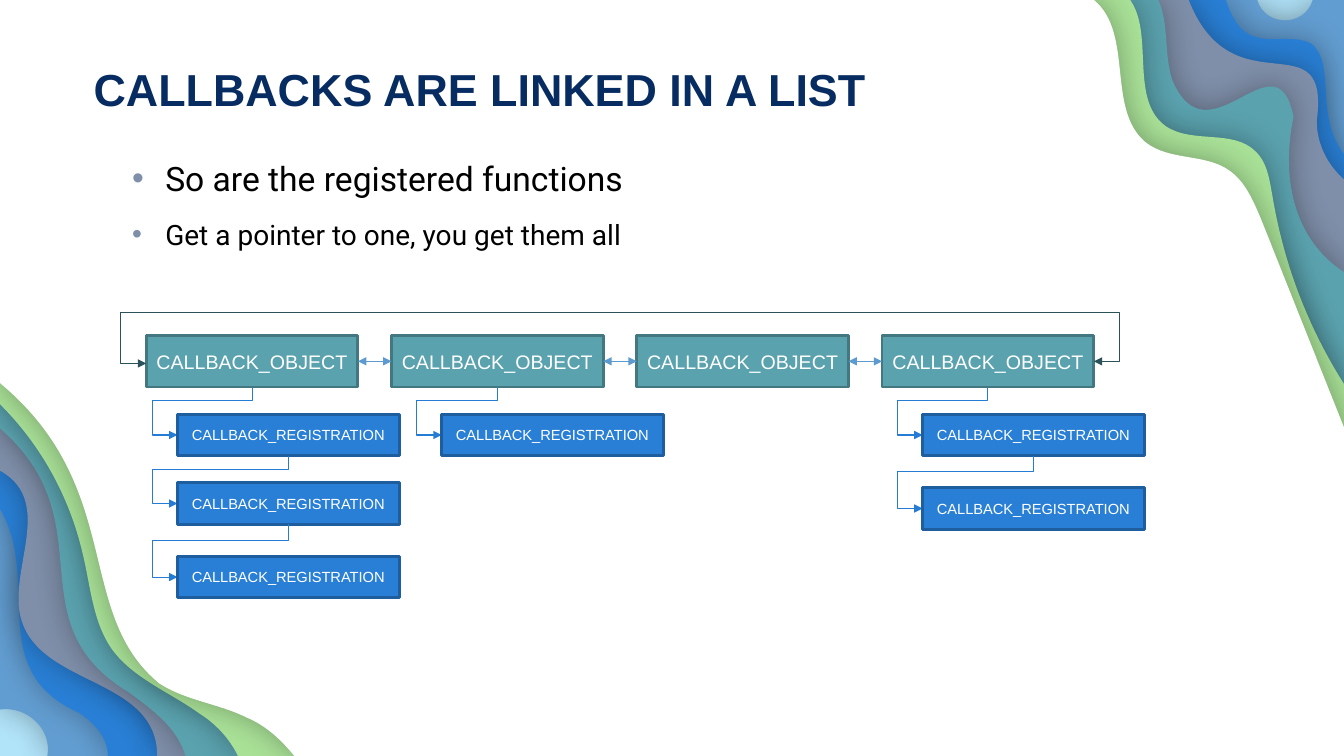
from lxml.etree import SubElement
from pptx import Presentation
from pptx.dml.color import RGBColor
from pptx.enum.shapes import MSO_CONNECTOR, MSO_SHAPE
from pptx.enum.text import MSO_ANCHOR, PP_ALIGN
from pptx.oxml.ns import qn
from pptx.util import Inches, Pt

WIDTH, HEIGHT = 13.33, 7.5
SKY = RGBColor(0xB1, 0xE3, 0xF9)
NAVY = RGBColor(0x07, 0x2C, 0x62)
BLACK = RGBColor(0, 0, 0)
WHITE = RGBColor(0xFF, 0xFF, 0xFF)
TEAL = RGBColor(0x5A, 0xA2, 0xAE)
TEAL_EDGE = RGBColor(0x43, 0x78, 0x81)
TEAL_DARK = RGBColor(0x2B, 0x52, 0x59)
BLUE = RGBColor(0x29, 0x7F, 0xD5)
BLUE_EDGE = RGBColor(0x1E, 0x5E, 0x9E)
BLUE_LINK = RGBColor(0x24, 0x7C, 0xD5)
LIGHT_BLUE = RGBColor(0x62, 0x9D, 0xD1)
PEER_BLUE = RGBColor(0x5D, 0x9A, 0xCF)
SLATE = RGBColor(0x7F, 0x8F, 0xA9)
GREEN = RGBColor(0xA9, 0xE1, 0x97)

TITLE = "CALLBACKS ARE LINKED IN A LIST"
BULLETS = [("So are the registered functions", 24),
           ("Get a pointer to one, you get them all", 20)]
OBJECT_LABEL, REGISTRATION_LABEL = "CALLBACK_OBJECT", "CALLBACK_REGISTRATION"
OBJECT_COUNT = 4
# object index: (left of its registrations, their tops)
REGISTRATIONS = {0: (1.76, [4.11, 4.79, 5.52]), 1: (4.38, [4.11]), 3: (9.15, [4.11, 4.84])}

# Each layer: colour, edge in the top right corner, edge in the bottom left corner.
# Two numbers are a corner point, six are a Bézier curve.
WAVES = [
    (LIGHT_BLUE,
     [(13.33, 0), (13.02, 0), (12.94, 0.27, 12.55, 0.27, 12.47, 0)],
     [(0, 7.04), (0.26, 7, 0.52, 7.23, 0.47, 7.5)]),
    (BLUE,
     [(13.33, 1.53), (13.03, 1.14, 13.26, 0.62, 13, 0.43),
      (12.71, 0.29, 12.34, 0.59, 12.16, 0)],
     [(0, 5.05), (0.42, 5.76, -0.16, 6.65, 0.78, 7.07), (0.93, 7.17, 1.07, 7.31, 1.07, 7.5)]),
    (SLATE,
     [(13.33, 1.78), (13.16, 1.63, 13.06, 1.42, 13.06, 1.2),
      (13.2, 0.16, 12.23, 1.12, 11.79, 0)],
     [(0, 4.67), (0.58, 4.99, 0.03, 5.72, 0.23, 6.2), (0.47, 6.81, 1.56, 6.74, 1.56, 7.5)]),
    (TEAL,
     [(13.33, 2.7), (12.81, 2.36, 12.71, 1.73, 12.83, 1.16),
      (12.66, 0.3, 11.99, 1.64, 11.63, 0.8), (11.54, 0.54, 11.6, 0.25, 11.49, 0)],
     [(0, 4.25), (1.07, 5.18, 0.12, 6.17, 1.28, 6.87), (1.51, 7.04, 1.76, 7.22, 1.84, 7.5)]),
    (GREEN,
     [(13.33, 3.81), (12.97, 3.24, 12.73, 2.61, 12.62, 1.94),
      (12.59, 1.78, 12.57, 1.61, 12.45, 1.5), (12.23, 1.28, 11.82, 1.43, 11.56, 1.25),
      (11.2, 0.99, 11.45, 0.34, 11.21, 0)],
     [(0, 4.01), (0.41, 4.42, 0.69, 4.93, 0.82, 5.49), (0.9, 5.82, 0.92, 6.17, 1.11, 6.44),
      (1.32, 6.73, 1.69, 6.87, 1.98, 7.08), (2.14, 7.18, 2.28, 7.33, 2.36, 7.5)]),
    (WHITE,
     [(13.33, 4.24), (12.51, 2.18), (12.43, 1.99, 12.35, 1.8, 12.19, 1.69),
      (11.95, 1.52, 11.6, 1.6, 11.36, 1.41), (10.97, 1.08, 11.25, 0.33, 10.85, 0)],
     [(0, 3.8), (1.25, 4.84, 0.73, 6.08, 1.58, 6.78),
      (1.84, 6.95, 2.17, 6.98, 2.45, 7.12), (2.64, 7.2, 2.79, 7.34, 2.92, 7.5)]),
]
UNITS = 1000  # outline units per inch

OBJECT_LEFT, OBJECT_TOP, OBJECT_PITCH = 1.45, 3.33, 2.433
OBJECT_SIZE, REGISTRATION_SIZE = (2.1, 0.51), (2.2, 0.41)
OVERHANG, LOOP_RISE, LOOP_SKEW = 0.25, 0.5, 0.02


def add_wave(shapes, color, upper_edge, lower_edge):
    steps = [tuple(round(n * UNITS) for n in step)
             for step in [*upper_edge, (0, 0), *lower_edge, (WIDTH, HEIGHT)]]
    builder = shapes.build_freeform(*steps[0], scale=Inches(1) / UNITS)
    builder.add_line_segments([step[-2:] for step in steps[1:]], close=True)
    wave = builder.convert_to_shape()
    wave.fill.solid()
    wave.fill.fore_color.rgb = color
    wave.line.fill.background()
    properties = wave.element.spPr
    for segment, step in zip(list(properties.iter(qn("a:lnTo"))), steps[1:]):
        if len(step) == 6:
            segment.tag = qn("a:cubicBezTo")
            segment.remove(segment[0])
            for x, y in zip(step[::2], step[1::2]):
                SubElement(segment, qn("a:pt"), x=str(x), y=str(y))
    shadow = SubElement(SubElement(properties, qn("a:effectLst")), qn("a:outerShdw"),
                        blurRad=str(Pt(22.5)), dist=str(Pt(0.8)), dir="0", algn="ctr",
                        rotWithShape="0")
    SubElement(SubElement(shadow, qn("a:srgbClr"), val="000000"), qn("a:alpha"), val="30000")


def write(paragraph, text, *, size, color, font="Arial", bold=False, align=PP_ALIGN.LEFT):
    paragraph.alignment = align
    run = paragraph.add_run()
    run.text = text
    run.font.name, run.font.size, run.font.bold = font, Pt(size), bold
    run.font.color.rgb = color


def add_text_frame(shapes, left, top, width, height):
    frame = shapes.add_textbox(*map(Inches, (left, top, width, height))).text_frame
    frame.word_wrap = True
    return frame


def add_bullet(paragraph, text, size):
    paragraph.line_spacing, paragraph.space_before = 1.3, Pt(6)
    write(paragraph, text, size=size, color=BLACK, font="Roboto")
    properties = paragraph._p.get_or_add_pPr()
    properties.set("marL", str(Inches(0.66)))
    properties.set("indent", str(Inches(-0.33)))
    SubElement(SubElement(properties, qn("a:buClr")), qn("a:srgbClr"), val=str(SLATE))
    SubElement(properties, qn("a:buFont"), typeface="Arial")
    SubElement(properties, qn("a:buChar"), char="•")


def add_box(shapes, left, top, box_size, label, label_size, fill, edge):
    box = shapes.add_shape(MSO_SHAPE.RECTANGLE, *map(Inches, (left, top, *box_size)))
    box.shadow.inherit = False
    box.fill.solid()
    box.fill.fore_color.rgb = fill
    box.line.color.rgb, box.line.width = edge, Pt(2)
    frame = box.text_frame
    frame.word_wrap, frame.vertical_anchor = False, MSO_ANCHOR.MIDDLE
    write(frame.paragraphs[0], label, size=label_size, color=WHITE, align=PP_ALIGN.CENTER)
    return box


def add_link(shapes, kind, begin, end, color, weight=0.75, both_ways=False):
    link = shapes.add_connector(kind, *map(Inches, (*begin, *end)))
    link.line.color.rgb, link.line.width = color, Pt(weight)
    for tag in ["a:headEnd", "a:tailEnd"] if both_ways else ["a:tailEnd"]:
        SubElement(link.line._get_or_add_ln(), qn(tag), type="triangle")
    SubElement(link._element.spPr, qn("a:effectLst"))
    return link


def bend(link, preset, degrees, adjustments):
    """Give an elbow connector its preset, rotation and bend positions."""
    properties = link._element.spPr
    properties.find(qn("a:xfrm")).set("rot", str(degrees * 60000))
    geometry = properties.find(qn("a:prstGeom"))
    geometry.set("prst", preset)
    guides = geometry.find(qn("a:avLst"))
    for number, value in enumerate(adjustments, 1):
        SubElement(guides, qn("a:gd"), name=f"adj{number}", fmla=f"val {round(value * 100000)}")


def add_drop(shapes, x, bottom, left, top):
    """Lead from the bottom of one box round to the left side of the next."""
    drop, run = top + REGISTRATION_SIZE[1] / 2 - bottom, x - left
    center_x, center_y = (x + left) / 2, bottom + drop / 2
    link = add_link(shapes, MSO_CONNECTOR.ELBOW, (center_x - drop / 2, center_y - run / 2),
                    (center_x + drop / 2, center_y + run / 2), BLUE_LINK)
    bend(link, "bentConnector4", 90, [(top - bottom) / 2 / drop, 1 + OVERHANG / run])


def main():
    deck = Presentation()
    deck.slide_width, deck.slide_height = Inches(WIDTH), Inches(HEIGHT)
    slide = deck.slides.add_slide(deck.slide_layouts[6])
    slide.background.fill.solid()
    slide.background.fill.fore_color.rgb = SKY
    shapes = slide.shapes
    for wave in WAVES:
        add_wave(shapes, *wave)

    title = add_text_frame(shapes, 0.83, 0.57, 9.79, 0.76)
    title.margin_top = Inches(0.04)
    write(title.paragraphs[0], TITLE, size=32, color=NAVY, bold=True)
    body = add_text_frame(shapes, 0.98, 1.45, 10.77, 1.71)
    body.margin_left = body.margin_top = body.margin_right = body.margin_bottom = 0
    for index, (text, size) in enumerate(BULLETS):
        add_bullet(body.add_paragraph() if index else body.paragraphs[0], text, size)

    lefts = [OBJECT_LEFT + i * OBJECT_PITCH for i in range(OBJECT_COUNT)]
    objects = [add_box(shapes, left, OBJECT_TOP, OBJECT_SIZE, OBJECT_LABEL, 14, TEAL, TEAL_EDGE)
               for left in lefts]
    for one, following in zip(objects, objects[1:]):
        peer = add_link(shapes, MSO_CONNECTOR.STRAIGHT, (0, 0), (1, 1), PEER_BLUE, both_ways=True)
        peer.begin_connect(one, 3)
        peer.end_connect(following, 1)

    for index, (left, tops) in REGISTRATIONS.items():
        x, bottom = lefts[index] + OBJECT_SIZE[0] / 2, OBJECT_TOP + OBJECT_SIZE[1]
        for top in tops:
            add_drop(shapes, x, bottom, left, top)
            add_box(shapes, left, top, REGISTRATION_SIZE, REGISTRATION_LABEL, 10.5, BLUE, BLUE_EDGE)
            x, bottom = left + REGISTRATION_SIZE[0] / 2, top + REGISTRATION_SIZE[1]

    right, level = lefts[-1] + OBJECT_SIZE[0], OBJECT_TOP + OBJECT_SIZE[1] / 2
    overhang = OVERHANG / (right - OBJECT_LEFT)
    loop = add_link(shapes, MSO_CONNECTOR.ELBOW, (right, level), (OBJECT_LEFT, level + LOOP_SKEW),
                    TEAL_DARK, weight=1, both_ways=True)
    bend(loop, "bentConnector5", 180, [-overhang, LOOP_RISE / LOOP_SKEW, 1 + overhang])
    deck.save("out.pptx")


if __name__ == "__main__":
    main()
